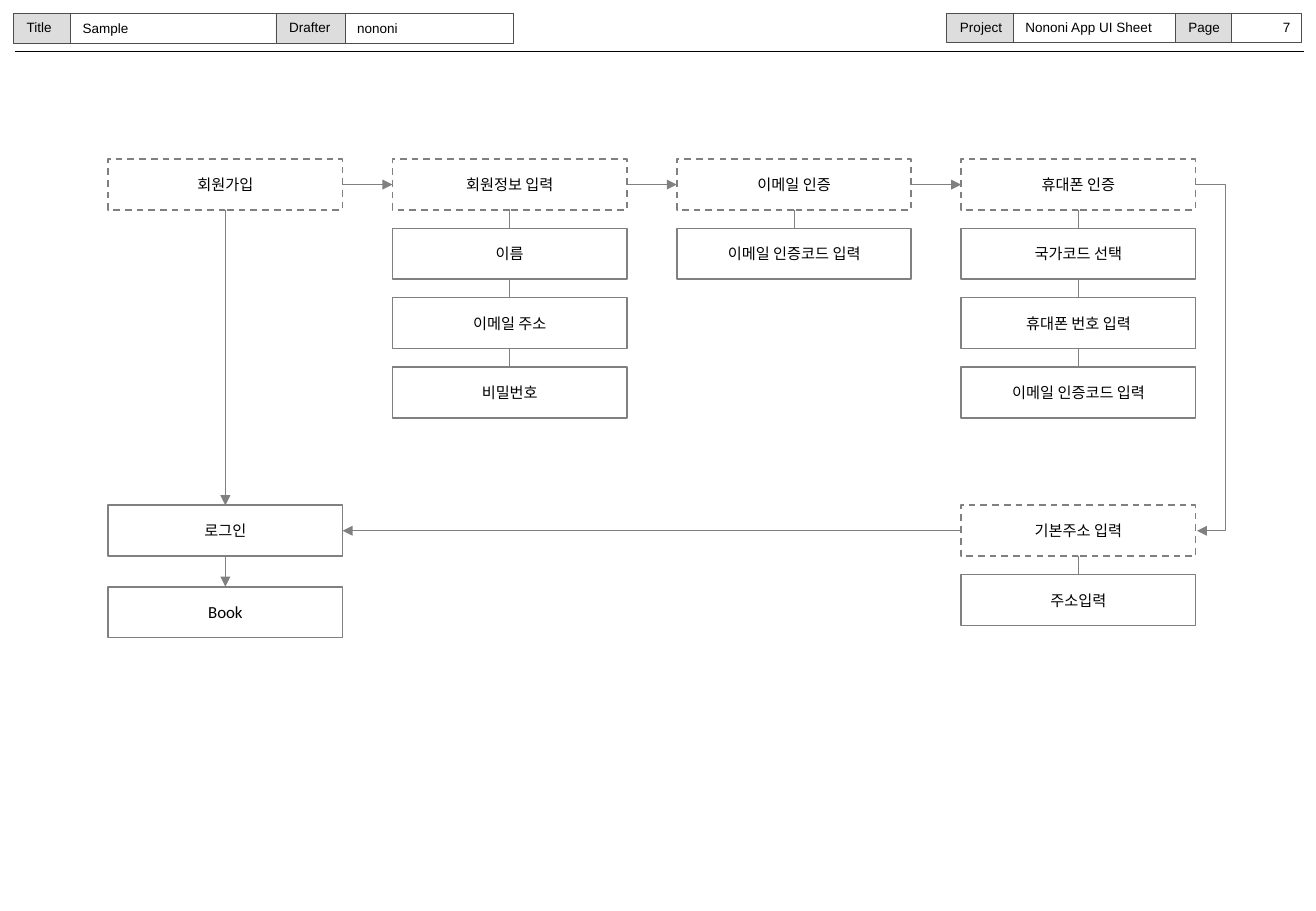
from pptx import Presentation
from pptx.dml.color import RGBColor
from pptx.enum.dml import MSO_LINE_DASH_STYLE as Dash
from pptx.enum.shapes import MSO_CONNECTOR as Link, MSO_SHAPE as Shape
from pptx.enum.text import MSO_ANCHOR as Anchor, MSO_AUTO_SIZE as AutoSize, PP_ALIGN as Align
from pptx.oxml.ns import qn
from pptx.util import Inches, Pt
from lxml import etree

TOP, LEFT, BOTTOM, RIGHT = range(4)
BLACK, WHITE, GREY, LABEL_GREY, FRAME_GREY = "000000", "FFFFFF", "808080", "DDDDDD", "4D4D4D"
BOX_WIDTH, BOX_HEIGHT = 1.93, 0.42
COLUMN_STEP, ROW_STEP = 2.34, 0.57

# left, top, width, height, label width, label, value, value alignment
FIELDS = [
    (0.11, 0.11, 2.17, 0.25, 0.47, "Title", "Sample", Align.LEFT),
    (2.27, 0.11, 1.95, 0.25, 0.57, "Drafter", "nononi", Align.LEFT),
    (7.79, 0.11, 1.88, 0.24, 0.55, "Project", "Nononi App UI Sheet", Align.LEFT),
    (9.67, 0.11, 1.04, 0.24, 0.46, "Page", "7", Align.RIGHT),
]
# column, row, step heading, details below it
STEPS = [
    (0, 0, "회원가입", []),
    (1, 0, "회원정보 입력", ["이름", "이메일 주소", "비밀번호"]),
    (2, 0, "이메일 인증", ["이메일 인증코드 입력"]),
    (3, 0, "휴대폰 인증", ["국가코드 선택", "휴대폰 번호 입력", "이메일 인증코드 입력"]),
    (3, 5, "기본주소 입력", ["주소입력"]),
]


def color(value):
    return RGBColor.from_string(value)


def write(shape, text, size, font, align, inset=(0.1, 0.05, 0.1, 0.05)):
    frame = shape.text_frame
    sides = dict(zip(("margin_left", "margin_top", "margin_right", "margin_bottom"), map(Inches, inset)))
    settings = {"word_wrap": True, "auto_size": AutoSize.NONE, "vertical_anchor": Anchor.MIDDLE}
    for name, value in {**sides, **settings}.items():
        setattr(frame, name, value)
    paragraph = frame.paragraphs[0]
    paragraph.text = text
    for name, value in {"alignment": align, "line_spacing": 1.0, "space_before": Pt(0)}.items():
        setattr(paragraph, name, value)
    for name, value in {"name": font, "size": Pt(size), "bold": False}.items():
        setattr(paragraph.font, name, value)
    paragraph.font.color.rgb = color(BLACK)


def add_box(slide, left, top, width, height, fill=None, line=None, weight=1, dash=None):
    shape = slide.shapes.add_shape(Shape.RECTANGLE, *map(Inches, (left, top, width, height)))
    shape.shadow.inherit = False
    if fill:
        shape.fill.solid()
        shape.fill.fore_color.rgb = color(fill)
    else:
        shape.fill.background()
    if line:
        shape.line.color.rgb = color(line)
        shape.line.width = Pt(weight)
        shape.line.dash_style = dash
    else:
        shape.line.fill.background()
    return shape


def add_line(slide, start, end, line=GREY, weight=0.5, arrow=False, kind=Link.STRAIGHT):
    connector = slide.shapes.add_connector(kind, *map(Inches, (*start, *end)))
    connector.line.color.rgb = color(line)
    connector.line.width = Pt(weight)
    if arrow:
        etree.SubElement(connector.line._get_or_add_ln(), qn("a:tailEnd"), type="triangle")
    etree.SubElement(connector._element.spPr, qn("a:effectLst"))
    return connector


def join(slide, first, first_side, second, second_side, arrow=False):
    connector = add_line(slide, (0, 0), (0, 0), arrow=arrow)
    connector.begin_connect(first, first_side)
    connector.end_connect(second, second_side)


def add_field(slide, left, top, width, height, label_width, label, value, align):
    # Label cell, divider and frame
    cell = add_box(slide, left, top, label_width, height, LABEL_GREY)
    write(cell, label, 8, "Arial", Align.LEFT, (0.11, 0.03, 0, 0.05))
    divider = left + label_width
    add_line(slide, (divider, top), (divider, top + height), FRAME_GREY, 0.25)
    add_box(slide, left, top, width, height, None, FRAME_GREY, 0.25)

    # Value: the sheet title goes in the title placeholder
    area = [Inches(length) for length in (divider, top, width - label_width, height)]
    if label == "Title":
        holder = slide.shapes.title
        for name, length in zip(("left", "top", "width", "height"), area):
            setattr(holder, name, length)
    else:
        holder = slide.shapes.add_textbox(*area)
    write(holder, value, 8, "Arial", align, (0.1, 0.04, 0.09, 0.05))


def add_header(slide, left, right, rule_top):
    for field in FIELDS:
        add_field(slide, *field)
    add_line(slide, (left, rule_top), (right, rule_top), BLACK)


def add_flow_box(slide, left, top, text, dash=None, size=9):
    shape = add_box(slide, left, top, BOX_WIDTH, BOX_HEIGHT, WHITE, GREY, 1, dash)
    write(shape, text, size, "Calibri", Align.CENTER)
    return shape


def add_step(slide, left, top, heading, details):
    head = previous = add_flow_box(slide, left, top, heading, Dash.DASH)
    for row, detail in enumerate(details, 1):
        box = add_flow_box(slide, left, top + row * ROW_STEP, detail)
        join(slide, previous, BOTTOM, box, TOP)
        previous = box
    return head


def add_flow(slide, left, top):
    # Sign-up steps, then login and the page that follows it
    *sign_up, address = [
        add_step(slide, left + column * COLUMN_STEP, top + row * ROW_STEP, heading, details)
        for column, row, heading, details in STEPS
    ]
    login_top = top + 5 * ROW_STEP
    login = add_flow_box(slide, left, login_top, "로그인")
    book = add_flow_box(slide, left, login_top + 0.67, "Book", size=10)

    # Arrows between steps
    for first, second in zip(sign_up, sign_up[1:]):
        join(slide, first, RIGHT, second, LEFT, True)
    join(slide, sign_up[0], BOTTOM, login, TOP, True)
    join(slide, login, BOTTOM, book, TOP, True)
    join(slide, address, LEFT, login, RIGHT, True)

    # Elbow from phone check round to the address step
    edge = left + 3 * COLUMN_STEP + BOX_WIDTH
    middle = BOX_HEIGHT / 2
    tip_gap, reach = 0.01, 0.25
    elbow = add_line(slide, (edge, top + middle), (edge + tip_gap, login_top + middle),
                     arrow=True, kind=Link.ELBOW)
    guides = elbow._element.spPr.find(qn("a:prstGeom")).get_or_add_avLst()
    etree.SubElement(guides, qn("a:gd"), name="adj1", fmla=f"val {round(reach / tip_gap * 100000)}")


def main():
    presentation = Presentation()
    presentation.slide_width = Inches(10.83)
    presentation.slide_height = Inches(7.5)
    slide = presentation.slides.add_slide(presentation.slide_layouts[5])
    add_header(slide, 0.12, 10.73, 0.42)
    add_flow(slide, 0.89, 1.31)
    presentation.save("out.pptx")


if __name__ == "__main__":
    main()
